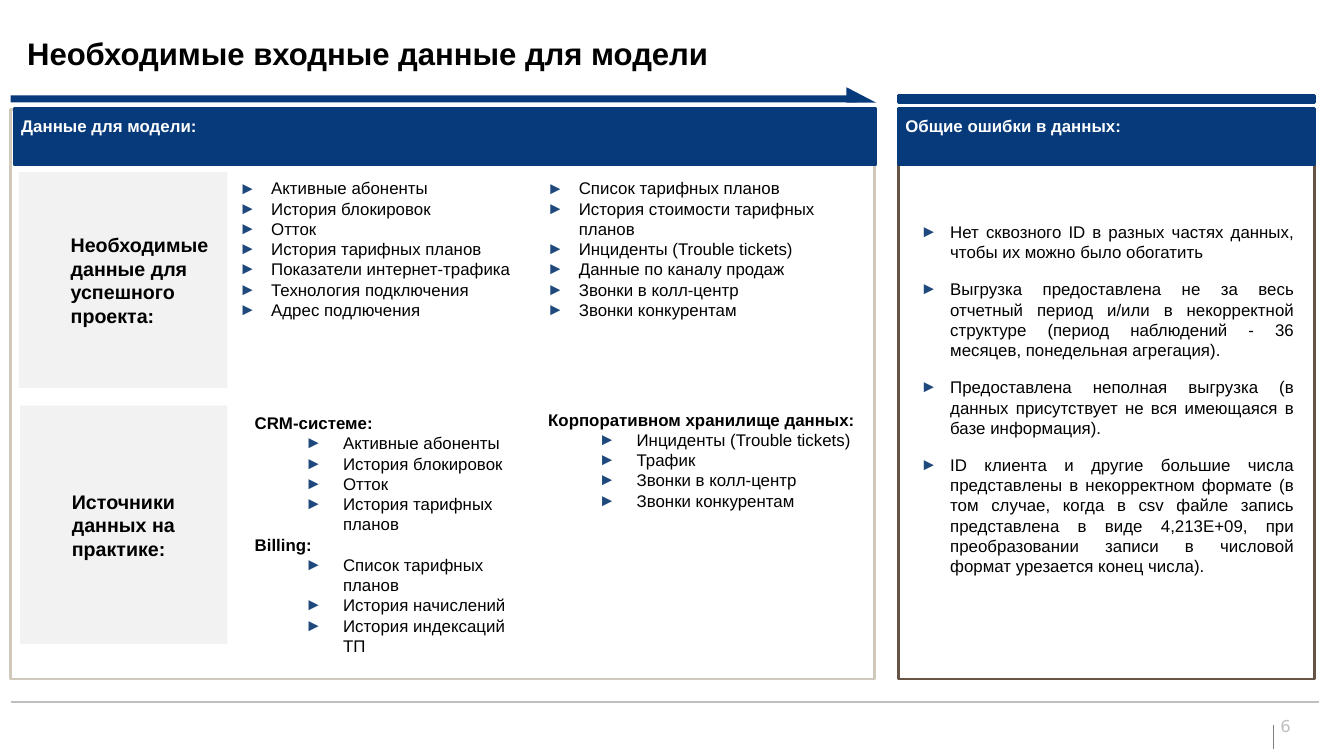
from lxml import etree
from pptx import Presentation
from pptx import util as u
from pptx.dml.color import RGBColor
from pptx.enum import shapes, text
from pptx.oxml.ns import qn

COLORS = {
    "navy": "063A7B", "bullet": "1F497D", "pale": "F2F2F2", "sand": "D0C8BA",
    "brown": "665546", "silver": "BFBFBF", "gray": "7F7F7F",
    "black": "000000", "white": "FFFFFF",
}


class DataSlide:
    font = "Arial"
    body_size = 10.3

    def __init__(self, deck, layout):
        self.slide = deck.slides.add_slide(layout)

    def color(self, name):
        return RGBColor.from_string(COLORS[name])

    def place(self, element, at):
        element.left, element.top, element.width, element.height = map(u.Inches, at)

    def frame(self, element, margins=(0.1, 0.05, 0.1, 0.05), anchor=text.MSO_ANCHOR.TOP):
        frame = element.text_frame
        frame.word_wrap = True
        frame.auto_size = text.MSO_AUTO_SIZE.NONE
        frame.vertical_anchor = anchor
        (frame.margin_left, frame.margin_top,
         frame.margin_right, frame.margin_bottom) = map(u.Inches, margins)
        return frame

    def style(self, paragraph, size, color="black", bold=False, font=None,
              align=text.PP_ALIGN.LEFT):
        paragraph.alignment = align
        for run in paragraph.runs:
            run.font.name = font or self.font
            run.font.size = u.Pt(size)
            run.font.bold = bold
            run.font.color.rgb = self.color(color)

    def title(self, at, wording):
        heading = self.slide.shapes.title
        self.place(heading, at)
        frame = self.frame(heading, (0, 0, 0, 0), text.MSO_ANCHOR.BOTTOM)
        frame.text = wording
        self.style(frame.paragraphs[0], 19, bold=True)

    def label(self, at, wording, size, color, font):
        label = self.slide.shapes.add_textbox(*map(u.Inches, at))
        frame = self.frame(label, (0, 0, 0, 0))
        frame.text = wording
        self.style(frame.paragraphs[0], size, color, font=font)

    def block(self, at, fill=None, line=None, kind=shapes.MSO_SHAPE.RECTANGLE):
        block = self.slide.shapes.add_shape(kind, *map(u.Inches, at))
        block.shadow.inherit = False
        if fill:
            block.fill.solid()
            block.fill.fore_color.rgb = self.color(fill)
        else:
            block.fill.background()
        if line:
            block.line.color.rgb = self.color(line)
            block.line.width = u.Pt(1.5)
        else:
            block.line.fill.background()
        return block

    def header(self, at, wording):
        frame = self.frame(self.block(at, "navy", "navy"), (0.06, 0.06, 0.06, 0))
        frame.text = wording
        self.style(frame.paragraphs[0], self.body_size, "white", True)

    def row_name(self, at, wording):
        frame = self.frame(self.block(at, "pale"), (0.44, 0.05, 0.1, 0.05),
                           text.MSO_ANCHOR.MIDDLE)
        frame.text = wording
        self.style(frame.paragraphs[0], 12, bold=True)

    def rule(self, start, end, color, width):
        rule = self.slide.shapes.add_connector(
            shapes.MSO_CONNECTOR.STRAIGHT, *map(u.Inches, start + end))
        rule.line.color.rgb = self.color(color)
        rule.line.width = u.Pt(width)
        etree.SubElement(rule._element.spPr, qn("a:effectLst"))

    def bullet(self, paragraph, indent, hang):
        props = paragraph._p.get_or_add_pPr()
        props.set("marL", str(u.Inches(indent)))
        props.set("indent", str(-u.Inches(hang)))
        if not hang:
            etree.SubElement(props, qn("a:buNone"))
            return
        tint = etree.SubElement(props, qn("a:buClr"))
        etree.SubElement(tint, qn("a:srgbClr"), val=COLORS["bullet"])
        etree.SubElement(props, qn("a:buFont"), typeface=self.font)
        etree.SubElement(props, qn("a:buChar"), char="►")

    def list(self, index, at, items, indent, hang, headings=(), gap=0,
             align=text.PP_ALIGN.LEFT, columns=1):
        body = self.slide.placeholders[index]
        self.place(body, at)
        frame = self.frame(body)
        frame._txBody.bodyPr.set("numCol", str(columns))
        frame.text = "\n".join(items)
        for item, paragraph in zip(items, frame.paragraphs):
            is_heading = item in headings
            paragraph.level = 1 if headings and not is_heading else 0
            paragraph.line_spacing = 1.0
            paragraph.space_before = u.Pt(gap)
            paragraph.space_after = u.Pt(0)
            self.bullet(paragraph, *((0, 0) if is_heading else (indent, hang)))
            self.style(paragraph, self.body_size, bold=is_heading, align=align)


def main():
    deck = Presentation()
    deck.slide_width, deck.slide_height = u.Inches(11.4), u.Inches(6.41)
    page = DataSlide(deck, deck.slide_layouts.get_by_name("Comparison"))

    page.title((0.23, 0.29, 10.94, 0.32), "Необходимые входные данные для модели")
    page.rule((10.8, 6.15), (10.8, 6.35), "gray", 0.75)
    page.rule((0.09, 5.95), (11.19, 5.95), "silver", 1)
    page.label((10.86, 6.07, 0.43, 0.17), "6", 10, "silver", "DejaVu Sans")

    page.block((0.09, 0.93, 7.33, 4.83), line="sand")
    page.block((0.09, 0.81, 7.18, 0.06), "navy")
    arrow_tip = page.block((7.18, 0.74, 0.25, 0.13), "navy",
                           kind=shapes.MSO_SHAPE.ISOSCELES_TRIANGLE)
    arrow_tip.adjustments[0] = 0
    page.block((7.62, 0.81, 3.53, 0.06), "navy", "navy")
    page.block((7.62, 0.93, 3.53, 4.83), line="brown")
    page.header((0.12, 0.92, 7.31, 0.48), "Данные для модели:")
    page.header((7.62, 0.92, 3.53, 0.48), "Общие ошибки в данных:")
    page.row_name((0.16, 1.46, 1.77, 1.83), "Необходимые данные для успешного проекта:")
    page.row_name((0.17, 3.44, 1.76, 2.02), "Источники данных на практике:")

    page.list(1, (1.93, 1.46, 5.42, 1.38), [
        "Активные абоненты",
        "История блокировок",
        "Отток",
        "История тарифных планов",
        "Показатели интернет-трафика",
        "Технология подключения",
        "Адрес подлючения",
        "Список тарифных планов",
        "История стоимости тарифных планов",
        "Инциденты (Trouble tickets)",
        "Данные по каналу продаж",
        "Звонки в колл-центр",
        "Звонки конкурентам",
    ], 0.27, 0.27, columns=2)
    page.list(2, (2.06, 3.45, 2.48, 2.17), [
        "CRM-системе:",
        "Активные абоненты",
        "История блокировок",
        "Отток",
        "История тарифных планов",
        "Billing:",
        "Список тарифных планов",
        "История начислений",
        "История индексаций ТП",
    ], 0.75, 0.32, headings=("CRM-системе:", "Billing:"))
    page.list(3, (4.55, 3.42, 2.85, 0.96), [
        "Корпоративном хранилище данных:",
        "Инциденты (Trouble tickets)",
        "Трафик",
        "Звонки в колл-центр",
        "Звонки конкурентам",
    ], 0.75, 0.32, headings=("Корпоративном хранилище данных:",))
    page.list(4, (7.71, 1.83, 3.37, 3.11), [
        "Нет сквозного ID в разных частях данных, чтобы их можно было обогатить",
        "Выгрузка предоставлена не за весь отчетный период и/или в некорректной "
        "структуре (период наблюдений - 36 месяцев, понедельная агрегация).",
        "Предоставлена неполная выгрузка (в данных присутствует не вся имеющаяся "
        "в базе информация).",
        "ID клиента и другие большие числа представлены в некорректном формате "
        "(в том случае, когда в csv файле запись представлена в виде 4,213Е+09, "
        "при преобразовании записи в числовой формат урезается конец числа).",
    ], 0.25, 0.25, gap=10.3, align=text.PP_ALIGN.JUSTIFY)

    deck.save("out.pptx")


if __name__ == "__main__":
    main()
